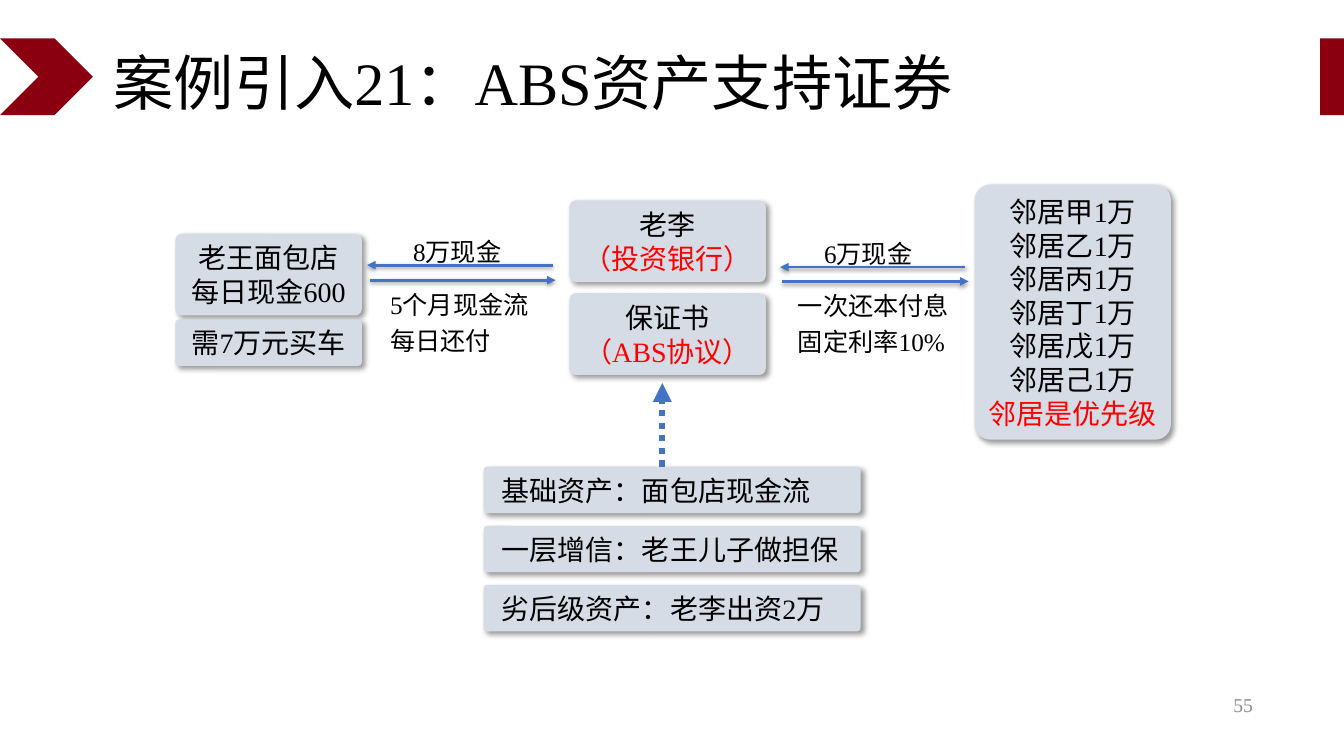
from dataclasses import dataclass

from lxml import etree
from pptx import Presentation
from pptx.dml.color import RGBColor
from pptx.enum.dml import MSO_LINE
from pptx.enum.shapes import MSO_CONNECTOR, MSO_SHAPE as SHAPE
from pptx.enum.text import MSO_ANCHOR as ANCHOR, MSO_AUTO_SIZE as AUTO, PP_ALIGN as ALIGN
from pptx.oxml.ns import qn
from pptx.util import Cm, Pt

FONT = "Times New Roman"
COLORS = {"band": "8B0011", "box": "D6DCE5", "arrow": "4472C4",
          "text": "000000", "accent": "FF0000", "page": "8C8C8C"}


@dataclass
class Box:
    x: float
    y: float
    w: float
    h: float
    lines: list[str]
    accent: str = ""
    centred: bool = True


@dataclass
class Label:
    x: float
    y: float
    w: float
    h: float
    lines: list[str]


@dataclass
class Arrow:
    x1: float
    y1: float
    x2: float
    y2: float
    dotted: bool = False


def rgb(name: str) -> RGBColor:
    return RGBColor.from_string(COLORS[name])


def write(tf, lines: list[str], *, size: float, color: str = "text", accent: str = "",
          align=ALIGN.LEFT, spacing: float = 1.0, indent: float = 0,
          anchor=ANCHOR.TOP, grow: bool = False) -> None:
    """Fill a text frame, one paragraph a line; the accent line is red."""
    tf.word_wrap = True
    tf.vertical_anchor = anchor
    tf.auto_size = AUTO.SHAPE_TO_FIT_TEXT if grow else AUTO.NONE
    for i, line in enumerate(lines):
        p = tf.paragraphs[0] if i == 0 else tf.add_paragraph()
        p.alignment, p.line_spacing = align, spacing
        if indent:
            p._p.get_or_add_pPr().set("marL", str(Cm(indent)))
        r = p.add_run()
        r.text = line
        r.font.name, r.font.size = FONT, Pt(size)
        r.font.color.rgb = rgb("accent" if line == accent else color)


def add_shadow(effects, *, alpha: int, blur: float, dist: float, angle: int) -> None:
    shadow = etree.SubElement(effects, qn("a:outerShdw"), blurRad=str(Pt(blur)),
                              dist=str(Pt(dist)), dir=str(angle * 60000),
                              algn="tl", rotWithShape="0")
    color = etree.SubElement(shadow, qn("a:srgbClr"), val=COLORS["text"])
    etree.SubElement(color, qn("a:alpha"), val=str(alpha * 1000))


def add_filled(s, kind, x: float, y: float, w: float, h: float, color: str):
    sp = s.shapes.add_shape(kind, Cm(x), Cm(y), Cm(w), Cm(h))
    sp.shadow.inherit = False
    sp.fill.solid()
    sp.fill.fore_color.rgb = rgb(color)
    sp.line.fill.background()
    return sp


def add_box(s, box: Box) -> None:
    sp = add_filled(s, SHAPE.ROUNDED_RECTANGLE, box.x, box.y, box.w, box.h, "box")
    sp.adjustments[0] = 0.08
    add_shadow(sp._element.spPr.find(qn("a:effectLst")), alpha=40, blur=4, dist=3, angle=45)
    tf = sp.text_frame
    tf.margin_left = tf.margin_right = tf.margin_top = tf.margin_bottom = Cm(0.13)
    write(tf, box.lines, size=20, accent=box.accent, anchor=ANCHOR.MIDDLE, grow=True,
          align=ALIGN.CENTER if box.centred else ALIGN.LEFT,
          indent=0 if box.centred else 0.3)


def add_text(s, x: float, y: float, w: float, h: float, lines: list[str], **fmt) -> None:
    sp = s.shapes.add_textbox(Cm(x), Cm(y), Cm(w), Cm(h))
    write(sp.text_frame, lines, **fmt)


def add_arrow(s, arrow: Arrow) -> None:
    c = s.shapes.add_connector(MSO_CONNECTOR.STRAIGHT, Cm(arrow.x1), Cm(arrow.y1),
                               Cm(arrow.x2), Cm(arrow.y2))
    c.line.color.rgb = rgb("arrow")
    c.line.width = Pt(4.5 if arrow.dotted else 2)
    if arrow.dotted:
        c.line.dash_style = MSO_LINE.ROUND_DOT
    etree.SubElement(c.line._get_or_add_ln(), qn("a:tailEnd"), type="triangle")
    effects = etree.SubElement(c._element.spPr, qn("a:effectLst"))
    if not arrow.dotted:
        add_shadow(effects, alpha=38, blur=3, dist=1.6, angle=90)


NEIGHBOURS = [f"邻居{name}1万" for name in "甲乙丙丁戊己"]
ASSETS = ["基础资产：面包店现金流", "一层增信：老王儿子做担保", "劣后级资产：老李出资2万"]

BOXES = [
    Box(4.42, 5.89, 4.7, 2.06, ["老王面包店", "每日现金600"]),
    Box(4.42, 8.05, 4.7, 1.17, ["需7万元买车"]),
    Box(14.35, 5.05, 4.95, 2.06, ["老李", "（投资银行）"], "（投资银行）"),
    Box(14.35, 7.39, 4.95, 2.06, ["保证书", "（ABS协议）"], "（ABS协议）"),
    Box(24.56, 4.65, 4.95, 6.43, NEIGHBOURS + ["邻居是优先级"], "邻居是优先级"),
    *(Box(12.19, 11.76 + 1.49 * i, 9.5, 1.17, [asset], centred=False)
      for i, asset in enumerate(ASSETS)),
]
ARROWS = [
    Arrow(13.94, 6.68, 9.25, 6.68),
    Arrow(9.32, 7.06, 14, 7.06),
    Arrow(24.33, 6.73, 19.66, 6.73),
    Arrow(19.71, 7.09, 24.41, 7.09),
    Arrow(16.69, 11.76, 16.69, 9.65, dotted=True),
]
LABELS = [
    Label(10.16, 5.69, 3.86, 1.09, ["8万现金"]),
    Label(20.52, 5.72, 3.86, 1.09, ["6万现金"]),
    Label(9.58, 7.01, 4.6, 2.01, ["5个月现金流", "每日还付"]),
    Label(19.86, 7.04, 4.42, 2.03, ["一次还本付息", "固定利率10%"]),
]


def main() -> None:
    prs = Presentation()
    prs.slide_width, prs.slide_height = Cm(33.87), Cm(19.05)
    s = prs.slides.add_slide(prs.slide_layouts[6])

    # Header bands, title and page number
    add_filled(s, SHAPE.CHEVRON, 0, 0.97, 2.34, 1.93, "band")
    add_filled(s, SHAPE.RECTANGLE, 33.27, 0.97, 0.6, 1.93, "band")
    add_text(s, 2.62, 1.02, 23.42, 2.29, ["案例引入21：ABS资产支持证券"],
             size=43, spacing=0.9, anchor=ANCHOR.MIDDLE)
    add_text(s, 24.21, 17.25, 7.62, 1.02, ["55"], size=14, color="page",
             align=ALIGN.RIGHT, anchor=ANCHOR.MIDDLE)

    # Parties, cash flows and their captions
    for box in BOXES:
        add_box(s, box)
    for arrow in ARROWS:
        add_arrow(s, arrow)
    for label in LABELS:
        add_text(s, label.x, label.y, label.w, label.h, label.lines, size=18,
                 align=ALIGN.JUSTIFY, spacing=1.2, grow=True)

    prs.save("out.pptx")


if __name__ == "__main__":
    main()
